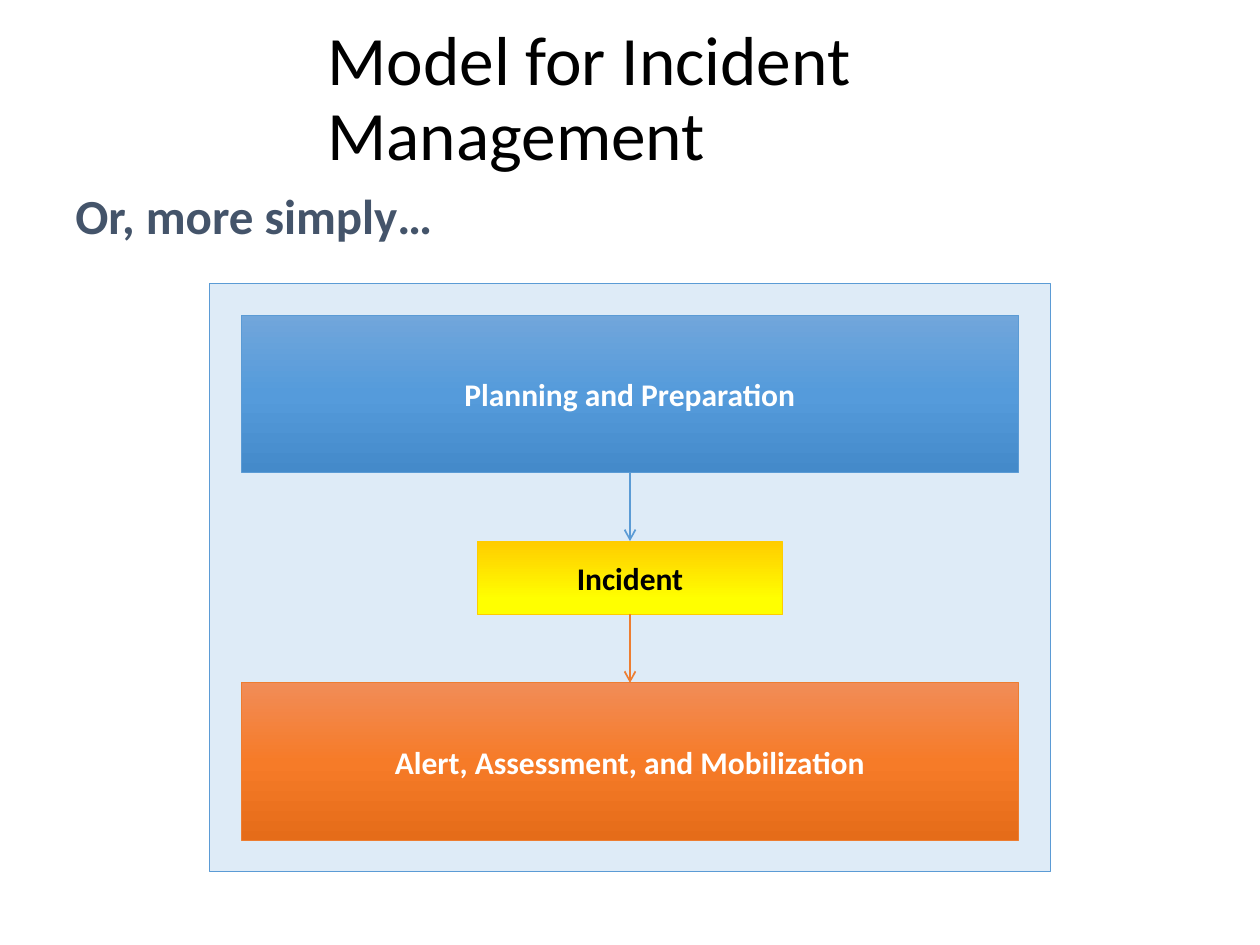
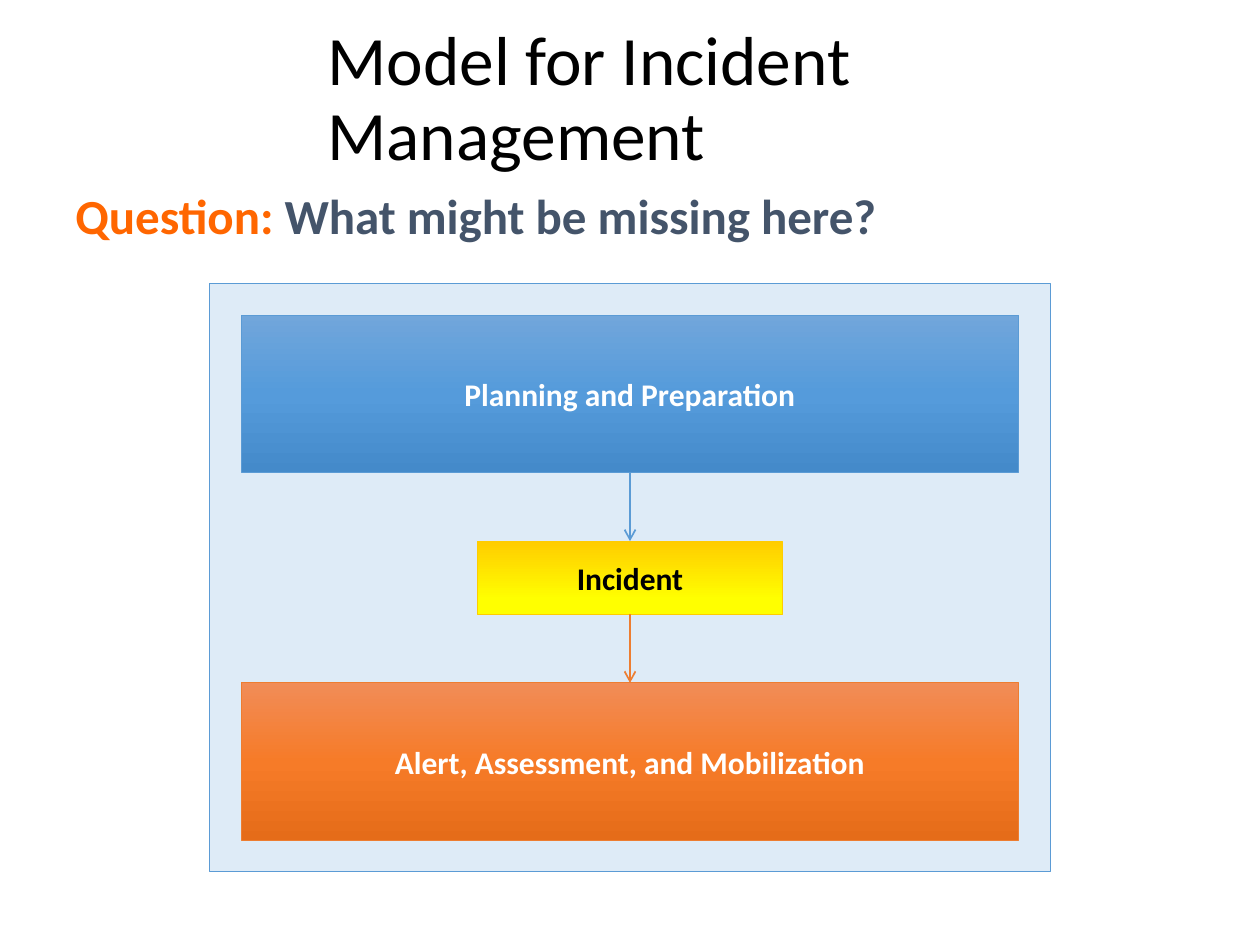
from dataclasses import dataclass

from lxml import etree
from pptx import Presentation
from pptx.dml.color import RGBColor
from pptx.enum.shapes import MSO_CONNECTOR, MSO_SHAPE
from pptx.enum.text import MSO_ANCHOR, MSO_AUTO_SIZE, PP_ALIGN
from pptx.oxml.ns import qn
from pptx.util import Inches, Pt

RECTANGLE = MSO_SHAPE.RECTANGLE
STRAIGHT = MSO_CONNECTOR.STRAIGHT
TOP, MIDDLE = MSO_ANCHOR.TOP, MSO_ANCHOR.MIDDLE
LEFT, CENTER = PP_ALIGN.LEFT, PP_ALIGN.CENTER
NO_AUTOFIT = MSO_AUTO_SIZE.NONE
TITLE_ONLY = 5


@dataclass(frozen=True)
class Theme:
    font: str = "Calibri"
    title_size: float = 39.6
    lead_size: float = 28
    step_size: float = 18
    black: str = "000000"
    white: str = "FFFFFF"
    slate: str = "44546A"
    question: str = "FF6600"
    blue: str = "5B9BD5"
    pale_blue: str = "DEEBF7"
    orange: str = "ED7D31"
    amber: str = "FFCC00"
    blue_fade: tuple = ((0, "71A6DB"), (50, "559BDB"), (100, "448ACA"))
    yellow_fade: tuple = ((0, "FFCC00"), (80, "FFFF00"), (100, "FFFF00"))
    orange_fade: tuple = ((0, "F18C57"), (50, "F67B28"), (100, "E56C19"))


@dataclass(frozen=True)
class Step:
    label: str
    width: float
    height: float
    fade: tuple
    outline: str
    text_color: str


THEME = Theme()
TITLE = "Model for Incident Management"
LEADS = [
    [("Or, more simply…", THEME.slate)],
    [("Question: ", THEME.question),
     ("What might be missing here?", THEME.slate)],
]
STEPS = [
    Step("Planning and Preparation", 6.17, 1.25,
         THEME.blue_fade, THEME.blue, THEME.white),
    Step("Incident", 2.42, 0.58,
         THEME.yellow_fade, THEME.amber, THEME.black),
    Step("Alert, Assessment, and Mobilization", 6.17, 1.25,
         THEME.orange_fade, THEME.orange, THEME.white),
]

# Flow geometry in inches: steps are spread evenly down the panel
SLIDE_WIDTH, SLIDE_HEIGHT = 10, 7.5
CENTER_X = SLIDE_WIDTH / 2
PANEL_TOP, PANEL_WIDTH, PANEL_HEIGHT = 2.25, 6.67, 4.67
PANEL_PADDING = 0.25


def rgb(color):
    return RGBColor.from_string(color)


def write_text(shape, runs, size, bold=False, align=LEFT, anchor=MIDDLE,
               line_spacing=None):
    """Fill a shape with one paragraph of (text, colour) runs."""
    frame = shape.text_frame
    frame.word_wrap = True
    frame.auto_size = NO_AUTOFIT
    frame.vertical_anchor = anchor
    paragraph = frame.paragraphs[0]
    paragraph.alignment = align
    paragraph.line_spacing = line_spacing
    for text, color in runs:
        run = paragraph.add_run()
        run.text = text
        run.font.name = THEME.font
        run.font.size = Pt(size)
        run.font.bold = bold
        run.font.color.rgb = rgb(color)


def fade_down(shape, stops):
    """Apply a top-to-bottom gradient with any number of stops."""
    shape.fill.gradient()
    shape.fill.gradient_angle = 270
    stop_list = shape.fill._xPr.find(".//" + qn("a:gsLst"))
    for default_stop in list(stop_list):
        stop_list.remove(default_stop)
    for percent, color in stops:
        stop = etree.SubElement(stop_list, qn("a:gs"), pos=str(percent * 1000))
        etree.SubElement(stop, qn("a:srgbClr"), val=color)


def add_box(shapes, left, top, width, height, fill, outline=None):
    """Add a rectangle; fill is a colour or a tuple of gradient stops."""
    box = shapes.add_shape(RECTANGLE, Inches(left), Inches(top),
                           Inches(width), Inches(height))
    box.shadow.inherit = False
    if isinstance(fill, tuple):
        fade_down(box, fill)
    else:
        box.fill.solid()
        box.fill.fore_color.rgb = rgb(fill)
    if outline:
        box.line.color.rgb = rgb(outline)
        box.line.width = Pt(0.5)
    else:
        box.line.fill.background()
    return box


def add_down_arrow(shapes, x, top, bottom, color):
    arrow = shapes.add_connector(STRAIGHT, Inches(x), Inches(top),
                                 Inches(x), Inches(bottom))
    arrow.line.color.rgb = rgb(color)
    arrow.line.width = Pt(1)
    etree.SubElement(arrow.line._get_or_add_ln(), qn("a:tailEnd"), type="arrow")
    etree.SubElement(arrow._element.spPr, qn("a:effectLst"))


def add_title(slide):
    title = slide.shapes.title
    title.left, title.top = Inches(2.5), Inches(0.17)
    title.width, title.height = Inches(7), Inches(1.25)
    write_text(title, [(TITLE, THEME.black)], THEME.title_size,
               line_spacing=0.9)


def add_lead(slide, runs):
    lead = add_box(slide.shapes, 0.5, 1.42, 9.5, 6.08, THEME.white)
    write_text(lead, runs, THEME.lead_size, bold=True, anchor=TOP)


def add_flow(slide):
    """Draw the panel, its steps and the arrows between them as one group."""
    flow = slide.shapes.add_group_shape().shapes
    add_box(flow, CENTER_X - PANEL_WIDTH / 2, PANEL_TOP, PANEL_WIDTH,
            PANEL_HEIGHT, THEME.pale_blue, THEME.blue)

    free_height = (PANEL_HEIGHT - 2 * PANEL_PADDING
                   - sum(step.height for step in STEPS))
    gap = free_height / (len(STEPS) - 1)
    top = PANEL_TOP + PANEL_PADDING
    arrow_colors = [THEME.blue, THEME.orange]
    for index, step in enumerate(STEPS):
        box = add_box(flow, CENTER_X - step.width / 2, top, step.width,
                      step.height, step.fade, step.outline)
        write_text(box, [(step.label, step.text_color)], THEME.step_size,
                   bold=True, align=CENTER)
        bottom = top + step.height
        top = bottom + gap
        if index < len(arrow_colors):
            add_down_arrow(flow, CENTER_X, bottom, top, arrow_colors[index])


def main():
    deck = Presentation()
    deck.slide_width, deck.slide_height = Inches(SLIDE_WIDTH), Inches(SLIDE_HEIGHT)
    for lead_runs in LEADS:
        slide = deck.slides.add_slide(deck.slide_layouts[TITLE_ONLY])
        add_lead(slide, lead_runs)
        add_title(slide)
        add_flow(slide)
    deck.save("out.pptx")


if __name__ == "__main__":
    main()
